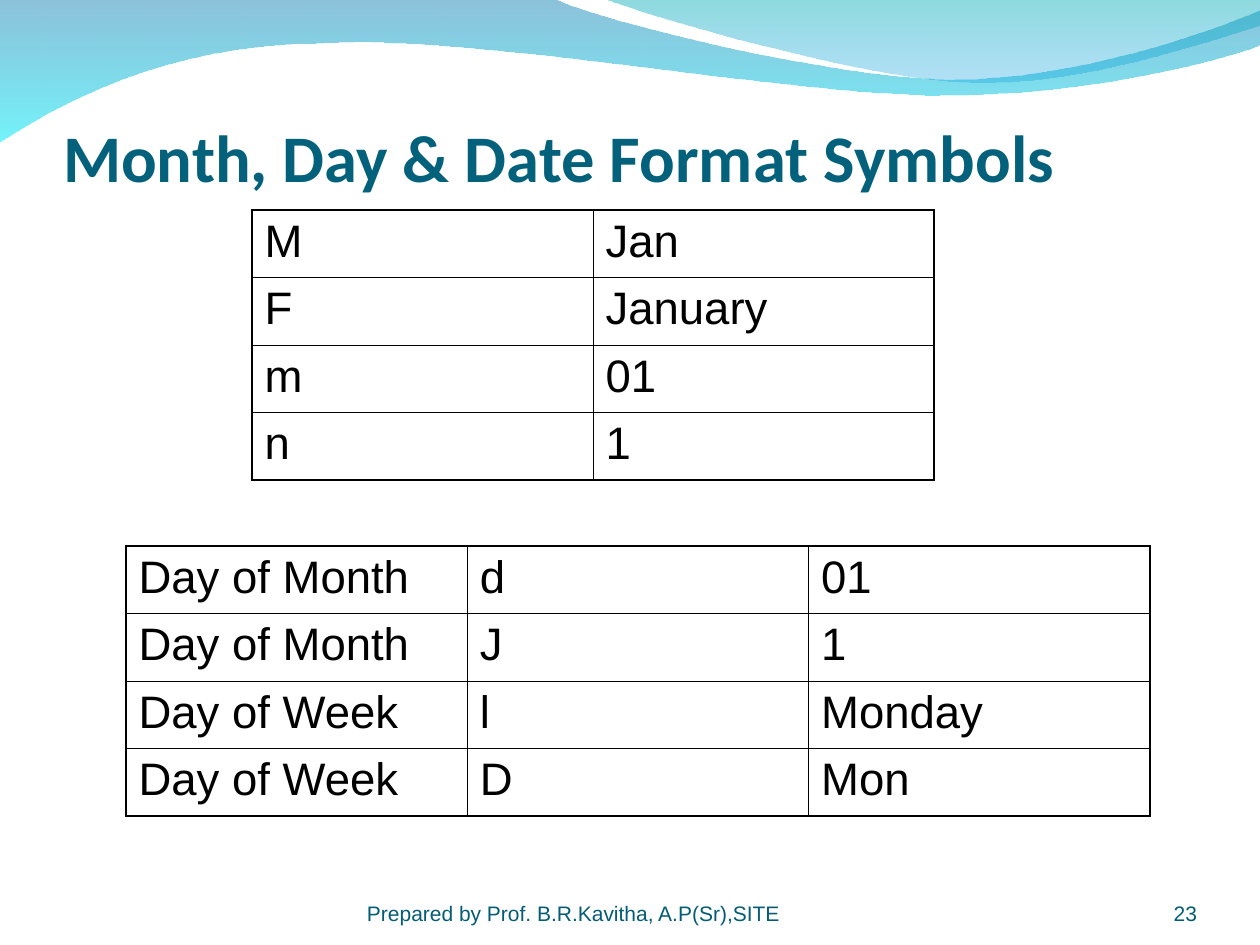
"""Build the slide on month, day and date format symbols."""
from dataclasses import dataclass

from pptx import Presentation
from pptx.dml.color import RGBColor as Color
from pptx.enum.text import MSO_ANCHOR as Anchor, MSO_AUTO_SIZE as AutoSize, PP_ALIGN as Align
from pptx.oxml.ns import qn
from pptx.oxml.xmlchemy import OxmlElement as new_element
from pptx.util import Inches, Pt

SCALE = Inches(1) / 126


@dataclass(frozen=True)
class Theme:
    title_color: str = "04617B"
    footer_color: str = "045C75"
    ink: str = "000000"
    heading_font: str = "Calibri"
    body_font: str = "Arial"
    title_size: int = 38
    cell_size: int = 26
    footer_size: int = 12
    outer_line: float = 1.08
    inner_line: float = 0.45


@dataclass(frozen=True)
class Box:
    left: int
    top: int
    width: int
    height: int

    def emu(self) -> tuple[int, ...]:
        return tuple(px(n) for n in (self.left, self.top, self.width, self.height))


@dataclass(frozen=True)
class Stop:
    color: str
    opacity: int


@dataclass(frozen=True)
class Wave:
    """Outline steps are points (2 numbers) or Bezier curves (6 numbers)."""
    start: tuple[int, int]
    steps: tuple[tuple[int, ...], ...]
    stops: tuple[Stop, Stop]


@dataclass(frozen=True)
class Grid:
    box: Box
    rows: tuple[tuple[str, ...], ...]


@dataclass(frozen=True)
class Footer:
    box: Box
    text: str
    align: Align


THEME = Theme()
TITLE = "Month, Day & Date Format Symbols"
TITLE_BOX = Box(63, 38, 1134, 158)
WAVES = (
    Wave((0, -1), ((554, -1), (600, 21, 837, 79, 955, 79), (1075, 79, 1207, 33, 1260, 11),
                   (1261, 45), (1239, 55, 1096, 96, 940, 95), (784, 95, 481, 35, 324, 43),
                   (163, 44, 58, 105, -1, 142)),
         (Stop("0079AF", 45), Stop("00EBF8", 55))),
    Wave((604, -1), ((641, 14, 859, 78, 969, 82), (1079, 87, 1211, 40, 1260, 26), (1260, 0)),
         (Stop("00ADB6", 45), Stop("009BE5", 30))),
)
GRIDS = (
    Grid(Box(252, 210, 682, 270),
         (("M", "Jan"), ("F", "January"), ("m", "01"), ("n", "1"))),
    Grid(Box(126, 546, 1024, 270),
         (("Day of Month", "d", "01"), ("Day of Month", "J", "1"),
          ("Day of Week", "l", "Monday"), ("Day of Week", "D", "Mon"))),
)
FOOTERS = (
    Footer(Box(1092, 876, 105, 50), "23", Align.RIGHT),
    Footer(Box(367, 876, 463, 50), "Prepared by Prof. B.R.Kavitha, A.P(Sr),SITE", Align.LEFT),
)


def px(length: float) -> int:
    return round(length * SCALE)


def style(para, font: str, size: int, color: str, bold: bool = False) -> None:
    para.font.name = font
    para.font.size = Pt(size)
    para.font.bold = bold
    para.font.color.rgb = Color.from_string(color)


def set_line(frame, text: str, align: Align, top_inset: int = 0):
    frame.word_wrap = True
    frame.auto_size = AutoSize.NONE
    frame.vertical_anchor = Anchor.BOTTOM
    frame.margin_left = frame.margin_right = frame.margin_bottom = 0
    frame.margin_top = px(top_inset)
    frame.text = text
    para = frame.paragraphs[0]
    para.alignment = align
    return para


def bend_outline(shape, steps: tuple[tuple[int, ...], ...]) -> None:
    """Merge each run of three line segments that stands for a curve."""
    lines = iter(list(shape._element.spPr.iter(qn("a:lnTo"))))
    for step in steps:
        segments = [next(lines) for _ in range(len(step) // 2)]
        if len(segments) == 3:
            curve = new_element("a:cubicBezTo")
            segments[0].addprevious(curve)
            for segment in segments:
                curve.append(segment[0])
                segment.getparent().remove(segment)


def draw_wave(page, wave: Wave) -> None:
    points = [(px(step[i]), px(step[i + 1]))
              for step in wave.steps for i in range(0, len(step), 2)]
    builder = page.shapes.build_freeform(*(px(n) for n in wave.start))
    builder.add_line_segments(points, close=True)
    shape = builder.convert_to_shape()
    bend_outline(shape, wave.steps)
    shape.shadow.inherit = False
    shape.line.fill.background()
    shape.fill.gradient()
    shape.fill.gradient_angle = 270
    for target, stop in zip(shape.fill.gradient_stops, wave.stops):
        target.color.rgb = Color.from_string(stop.color)
    for color, stop in zip(shape._element.spPr.iter(qn("a:srgbClr")), wave.stops):
        alpha = new_element("a:alpha")
        alpha.set("val", str(stop.opacity * 1000))
        color.append(alpha)


def draw_title(page) -> None:
    title = page.shapes.title
    title.left, title.top, title.width, title.height = TITLE_BOX.emu()
    para = set_line(title.text_frame, TITLE, Align.LEFT, top_inset=6)
    style(para, THEME.heading_font, THEME.title_size, THEME.title_color, bold=True)
    page.shapes._spTree.append(title._element)


def set_border(cell, side: str, is_outer: bool) -> None:
    line = new_element(f"a:ln{side}")
    line.set("w", str(Pt(THEME.outer_line if is_outer else THEME.inner_line)))
    fill = new_element("a:solidFill")
    color = new_element("a:srgbClr")
    color.set("val", THEME.ink)
    fill.append(color)
    line.append(fill)
    cell._tc.get_or_add_tcPr().append(line)


def draw_grid(page, grid: Grid) -> None:
    last_row, last_col = len(grid.rows) - 1, len(grid.rows[0]) - 1
    table = page.shapes.add_table(last_row + 1, last_col + 1, *grid.box.emu()).table
    table.first_row = table.horz_banding = False
    for row, texts in enumerate(grid.rows):
        for col, text in enumerate(texts):
            cell = table.cell(row, col)
            cell.text = text
            style(cell.text_frame.paragraphs[0], THEME.body_font, THEME.cell_size, THEME.ink)
            outer = {"L": col == 0, "R": col == last_col, "T": row == 0, "B": row == last_row}
            for side, is_outer in outer.items():
                set_border(cell, side, is_outer)
            cell.fill.background()


def draw_footer(page, footer: Footer) -> None:
    box = page.shapes.add_textbox(*footer.box.emu())
    para = set_line(box.text_frame, footer.text, footer.align)
    style(para, THEME.body_font, THEME.footer_size, THEME.footer_color)


def main() -> None:
    deck = Presentation()
    deck.slide_width, deck.slide_height = px(1260), px(945)
    page = deck.slides.add_slide(deck.slide_layouts.get_by_name("Title Only"))
    for wave in WAVES:
        draw_wave(page, wave)
    draw_title(page)
    for grid in GRIDS:
        draw_grid(page, grid)
    for footer in FOOTERS:
        draw_footer(page, footer)
    deck.save("out.pptx")


if __name__ == "__main__":
    main()
